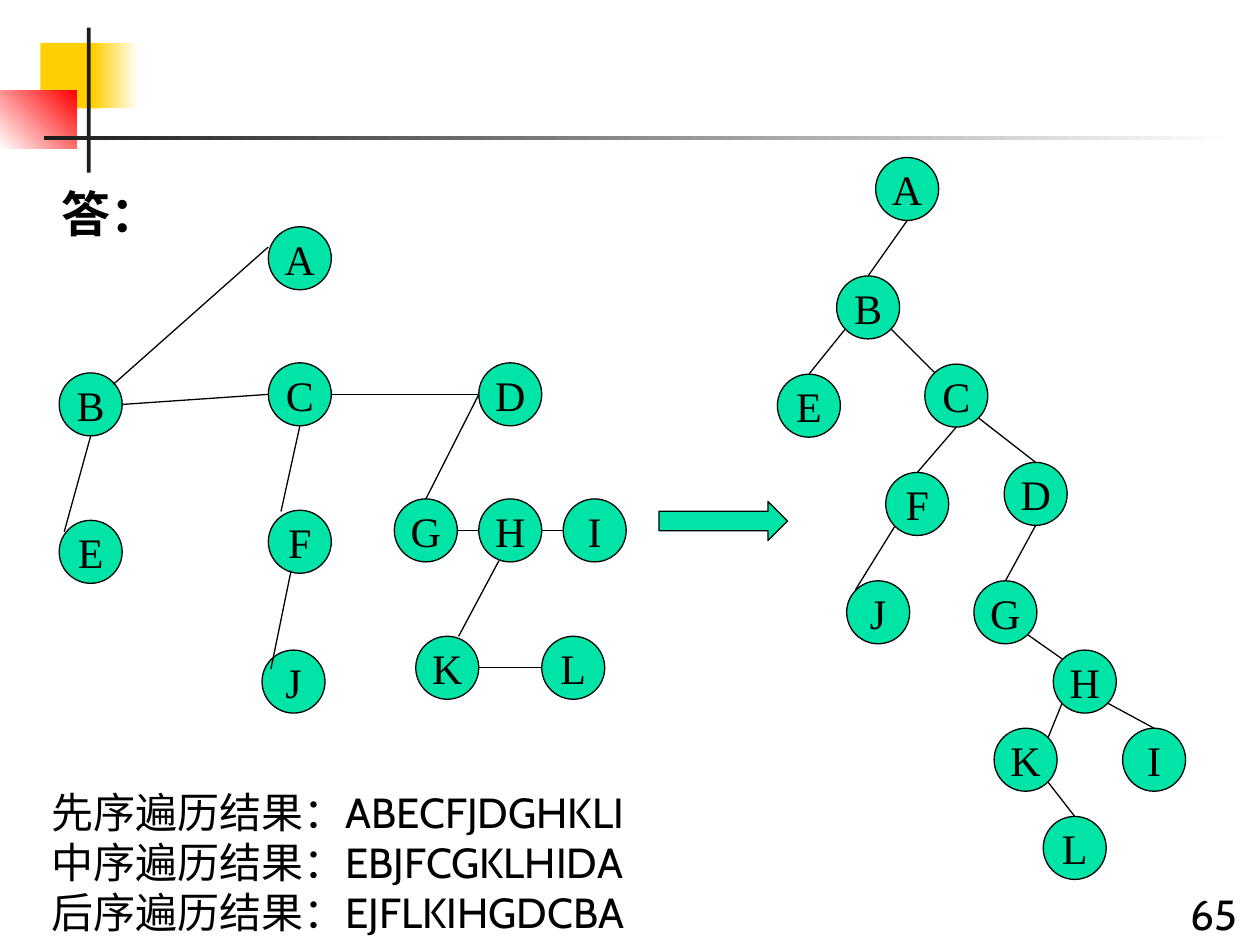
import pptx
import pptx.dml.color
import pptx.enum.shapes
import pptx.enum.text
import pptx.oxml
import pptx.oxml.ns
import pptx.util

Inches = pptx.util.Inches
Color = pptx.dml.color.RGBColor
Shape = pptx.enum.shapes.MSO_SHAPE
Align = pptx.enum.text.PP_ALIGN
Anchor = pptx.enum.text.MSO_ANCHOR

BLACK = Color(0x00, 0x00, 0x00)
WHITE = Color(0xFF, 0xFF, 0xFF)
CHARCOAL = Color(0x1C, 0x1C, 0x1C)
YELLOW = Color(0xFF, 0xCF, 0x01)
RED = Color(0xFF, 0x00, 0x00)
GREEN = Color(0x00, 0xE4, 0xA8)

NODE_SIZE = 0.5
LINE_WIDTH = pptx.util.Pt(0.75)

DECORATIONS = [
    ((0.32, 0.34, 0.48, 0.52), [YELLOW], 0),
    ((0.74, 0.34, 0.36, 0.52), [YELLOW, WHITE], 0),
    ((0, 0.72, 0.61, 0.46), [WHITE, RED], 45),
    ((0.69, 0.22, 0.03, 1.15), [CHARCOAL], 0),
    ((0.35, 1.08, 9.45, 0.03), [CHARCOAL, WHITE], 0),
]

GENERAL_TREE = {
    "nodes": {
        "A": (2.13, 1.8), "C": (2.13, 2.88), "J": (2.08, 5.16), "F": (2.13, 4.05),
        "E": (0.47, 4.13), "B": (0.47, 2.96), "D": (3.8, 2.88), "L": (4.3, 5.05),
        "K": (3.3, 5.05), "I": (4.47, 3.96), "H": (3.8, 3.96), "G": (3.13, 3.96),
    },
    "edges": [
        (2.13, 1.96, 0.9, 3.05), (0.72, 3.46, 0.51, 4.22), (2.38, 3.38, 2.23, 4.06),
        (2.31, 4.53, 2.15, 5.31), (3.8, 3.13, 3.38, 3.96), (3.96, 4.45, 3.64, 5.05),
        (0.97, 3.21, 2.13, 3.13), (2.63, 3.13, 3.8, 3.13), (3.63, 4.21, 3.8, 4.21),
        (4.3, 4.21, 4.47, 4.21), (3.8, 5.3, 4.3, 5.3),
    ],
}
BINARY_TREE = {
    "nodes": {
        "A": (6.95, 1.25), "C": (7.34, 2.89), "J": (6.72, 4.61), "F": (7.03, 3.75),
        "E": (6.17, 2.97), "B": (6.64, 2.19), "D": (7.97, 3.67), "L": (8.28, 6.48),
        "K": (7.89, 5.78), "I": (8.91, 5.78), "H": (8.36, 5.16), "G": (7.73, 4.61),
    },
    "edges": [
        (7.2, 1.75, 6.89, 2.19), (6.71, 2.61, 6.42, 2.97), (7.07, 2.61, 7.42, 2.96),
        (7.77, 3.32, 8.22, 3.67), (7.59, 3.39, 7.28, 3.75), (7.1, 4.18, 6.79, 4.68),
        (8.22, 4.17, 7.98, 4.61), (8.16, 5.04, 8.43, 5.23), (8.79, 5.58, 9.16, 5.78),
        (8.43, 5.58, 8.32, 5.85), (8.32, 6.21, 8.53, 6.48),
    ],
}
ARROW = (5.23, 3.98, 1.02, 0.31)

BODY_FONT = {"name": "Cabin", "size": pptx.util.Pt(24)}
NODE_FONT = {"name": "Times New Roman", "size": pptx.util.Pt(24)}
ANSWER_FONT = {"name": "Noto Sans CJK SC", "size": pptx.util.Pt(28), "bold": True}
TEXTS = [
    ((9.35, 7, 0.65, 0.5), ["65"], BODY_FONT),
    ((0.39, 1.41, 0.94, 0.57), ["答："], ANSWER_FONT),
    ((0.31, 6.19, 6.09, 1.31), [
        "先序遍历结果：ABECFJDGHKLI",
        "中序遍历结果：EBJFCGKLHIDA",
        "后序遍历结果：EJFLKIHGDCBA",
    ], BODY_FONT),
]


def write(para, text, font_format):
    span = para.add_run()
    span.text = text
    for key, value in font_format.items():
        setattr(span.font, key, value)
    span.font.color.rgb = BLACK
    east_asian = pptx.oxml.parse_xml(
        f'<a:ea {pptx.oxml.ns.nsdecls("a")} typeface="{font_format["name"]}"/>')
    span.font._element.append(east_asian)


def add_shape(parent, kind, area, colors, angle=0, outlined=True):
    shape = parent.add_shape(kind, *map(Inches, area))
    shape.shadow.inherit = False
    if len(colors) == 1:
        shape.fill.solid()
        shape.fill.fore_color.rgb = colors[0]
    else:
        shape.fill.gradient()
        shape.fill.gradient_angle = angle
        for stop, color, position in zip(shape.fill.gradient_stops, colors, (0, 1)):
            stop.color.rgb = color
            stop.position = position
    if outlined:
        shape.line.color.rgb = BLACK
        shape.line.width = LINE_WIDTH
    else:
        shape.line.fill.background()
    return shape


def add_tree(page, tree):
    group = page.shapes.add_group_shape().shapes
    for letter, corner in tree["nodes"].items():
        node = add_shape(group, Shape.FLOWCHART_CONNECTOR,
                         (*corner, NODE_SIZE, NODE_SIZE), [GREEN])
        frame = node.text_frame
        frame.word_wrap = False
        frame.vertical_anchor = Anchor.MIDDLE
        para = frame.paragraphs[0]
        para.alignment = Align.CENTER
        write(para, letter, NODE_FONT)
    for ends in tree["edges"]:
        edge = group.add_connector(pptx.enum.shapes.MSO_CONNECTOR.STRAIGHT,
                                   *map(Inches, ends))
        edge.line.color.rgb = BLACK
        edge.line.width = LINE_WIDTH
        edge._element.spPr.append(pptx.oxml.parse_xml(
            f'<a:effectLst {pptx.oxml.ns.nsdecls("a")}/>'))


def add_text(page, area, lines, font_format):
    box = page.shapes.add_textbox(*map(Inches, area))
    frame = box.text_frame
    frame.word_wrap = True
    for index, line in enumerate(lines):
        para = frame.add_paragraph() if index else frame.paragraphs[0]
        write(para, line, font_format)


def main():
    deck = pptx.Presentation()
    deck.slide_width, deck.slide_height = Inches(10), Inches(7.5)
    page = deck.slides.add_slide(deck.slide_layouts[6])
    for area, colors, angle in DECORATIONS:
        add_shape(page.shapes, Shape.RECTANGLE, area, colors, angle, outlined=False)
    for tree in (GENERAL_TREE, BINARY_TREE):
        add_tree(page, tree)
    add_shape(page.shapes, Shape.RIGHT_ARROW, ARROW, [GREEN])
    for area, lines, font_format in TEXTS:
        add_text(page, area, lines, font_format)
    deck.save("out.pptx")


if __name__ == "__main__":
    main()
